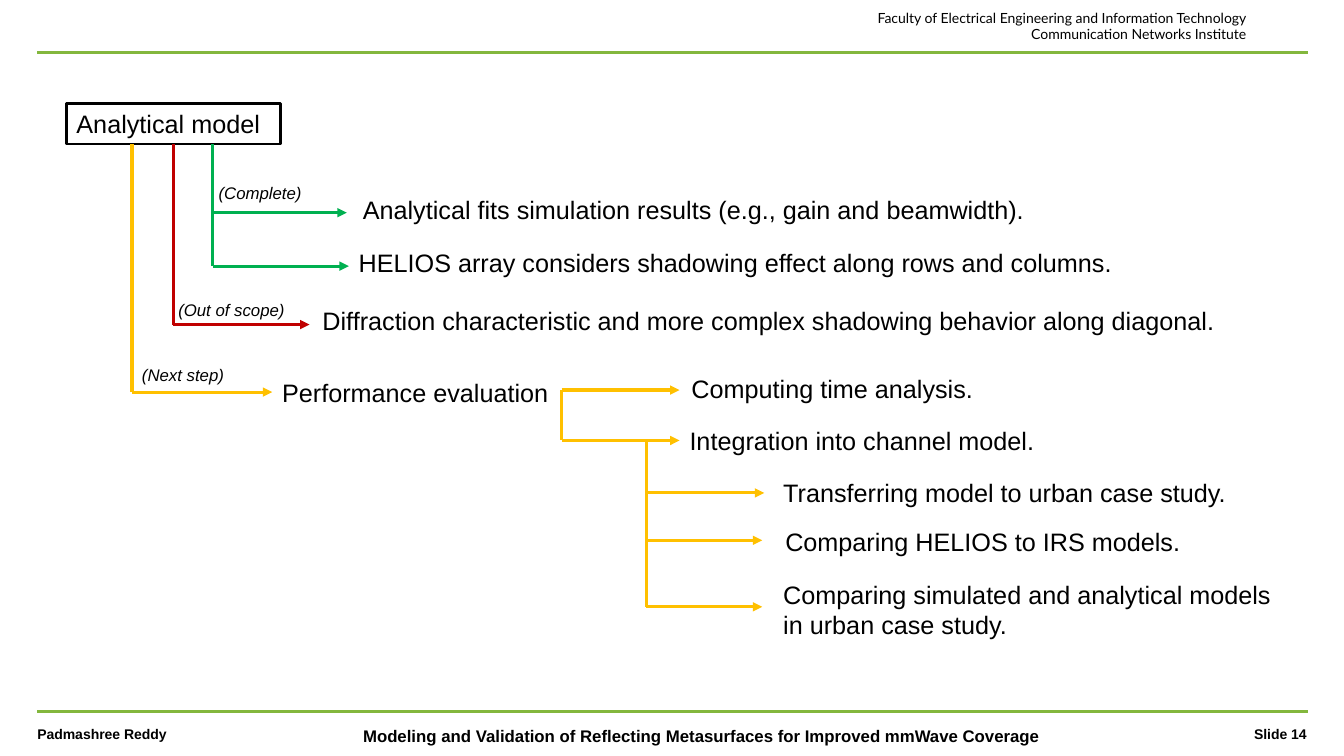
from dataclasses import dataclass
from typing import Optional

from lxml.etree import SubElement
from pptx import Presentation
from pptx.dml.color import RGBColor
from pptx.enum.shapes import MSO_CONNECTOR, MSO_SHAPE
from pptx.enum.text import MSO_ANCHOR, MSO_AUTO_SIZE, PP_ALIGN
from pptx.oxml.ns import qn
from pptx.shapes.autoshape import Shape
from pptx.shapes.connector import Connector
from pptx.slide import Slide
from pptx.util import Inches, Pt


@dataclass(frozen=True)
class Theme:
    black: str = "000000"
    white: str = "FFFFFF"
    rule: str = "83B73D"
    complete: str = "00B050"
    out_of_scope: str = "C00000"
    next_step: str = "FFC000"
    font: str = "Arial"
    header_font: str = "Lato"
    body: float = 18
    status: float = 12
    title: float = 12
    small: float = 10
    rule_width: float = 2
    branch_width: float = 2.25


THEME = Theme()


@dataclass(frozen=True)
class Label:
    text: str
    left: float
    top: float
    width: float
    height: float = 0.4
    size: float = THEME.body
    font: str = THEME.font
    bold: bool = False
    italic: bool = False
    wrap: bool = False
    grow: bool = True
    align: PP_ALIGN = PP_ALIGN.LEFT
    anchor: MSO_ANCHOR = MSO_ANCHOR.TOP
    insets: tuple[float, float, float, float] = (0.1, 0.05, 0.1, 0.05)


@dataclass(frozen=True)
class Arm:
    y: float
    end: float
    target: Optional[str] = None


@dataclass(frozen=True)
class Branch:
    x: float
    top: float
    color: str
    arms: tuple[Arm, ...]
    source: Optional[str] = None


ROOT = Label("Analytical model", 0.66, 1.03, 2.12)
EVALUATION = "Performance evaluation"
INTEGRATION = "Integration into channel model."
ROOT_BOTTOM = ROOT.top + ROOT.height

HEADER_AND_FOOTER = [
    Label("Faculty of Electrical Engineering and Information Technology\n"
          "Communication Networks Institute", 8.5, 0.09, 3.86, 0.34,
          size=THEME.small, font=THEME.header_font, align=PP_ALIGN.RIGHT,
          insets=(0, 0, 0, 0)),
    Label("Padmashree Reddy", 0.37, 7.09, 2.33, 0.39, size=THEME.small,
          bold=True, wrap=True, grow=False, anchor=MSO_ANCHOR.MIDDLE,
          insets=(0, 0.05, 0.1, 0.05)),
    Label("Modeling and Validation of Reflecting Metasurfaces for Improved "
          "mmWave Coverage", 2.98, 7.09, 7.96, 0.41, size=THEME.title,
          bold=True, wrap=True, grow=False, align=PP_ALIGN.CENTER,
          anchor=MSO_ANCHOR.MIDDLE),
    Label("Slide 14", 11.92, 7.15, 1.04, 0.27, size=THEME.small, bold=True,
          wrap=True, align=PP_ALIGN.RIGHT, insets=(0.1, 0.05, 0, 0.05)),
]

TOPICS = [
    Label("Analytical fits simulation results (e.g., gain and beamwidth).",
          3.5, 1.88, 6.82),
    Label("HELIOS array considers shadowing effect along rows and columns.",
          3.46, 2.4, 7.74),
    Label("Diffraction characteristic and more complex shadowing behavior "
          "along diagonal.", 3.1, 2.98, 9.26),
    Label(EVALUATION, 2.7, 3.69, 2.87),
    Label("Computing time analysis.", 6.76, 3.65, 3.02),
    Label(INTEGRATION, 6.74, 4.17, 3.65),
    Label("Transferring model to urban case study.", 7.67, 4.69, 4.63),
    Label("Comparing HELIOS to IRS models.", 7.69, 5.17, 4.87, wrap=True),
    Label("Comparing simulated and analytical models in urban case study.",
          7.67, 5.7, 5.1, 0.71, wrap=True),
]

STATUSES = [
    Label(text, left, top, width, 0.3, size=THEME.status, italic=True, wrap=wrap)
    for text, left, top, width, wrap in (
        ("(Complete)", 2.07, 1.76, 1.03, False),
        ("(Out of scope)", 1.67, 2.92, 1.3, True),
        ("(Next step)", 1.31, 3.57, 1.17, True),
    )
]

BRANCHES = [
    Branch(2.11, ROOT_BOTTOM, THEME.complete, (Arm(2.11, 3.44), Arm(2.64, 3.46))),
    Branch(1.72, ROOT_BOTTOM, THEME.out_of_scope, (Arm(3.22, 3.07),), ROOT.text),
    Branch(1.31, ROOT_BOTTOM, THEME.next_step, (Arm(3.89, 2.7, EVALUATION),)),
    Branch(5.57, 3.87, THEME.next_step,
           (Arm(3.87, 6.74), Arm(4.37, 6.74, INTEGRATION))),
    Branch(6.41, 4.39, THEME.next_step,
           (Arm(4.89, 7.58), Arm(5.36, 7.56), Arm(6.02, 7.56))),
]


def fill_text(shape: Shape, label: Label) -> None:
    frame = shape.text_frame
    left, top, right, bottom = map(Inches, label.insets)
    frame_format = {
        "margin_left": left, "margin_top": top,
        "margin_right": right, "margin_bottom": bottom,
        "word_wrap": label.wrap, "vertical_anchor": label.anchor,
        "auto_size": (MSO_AUTO_SIZE.SHAPE_TO_FIT_TEXT if label.grow
                      else MSO_AUTO_SIZE.NONE),
    }
    for name, value in frame_format.items():
        setattr(frame, name, value)
    frame.text = label.text
    font_format = {"name": label.font, "size": Pt(label.size),
                   "bold": label.bold, "italic": label.italic}
    for paragraph in frame.paragraphs:
        paragraph.alignment = label.align
        for name, value in font_format.items():
            setattr(paragraph.font, name, value)
        paragraph.font.color.rgb = RGBColor.from_string(THEME.black)


def add_label(slide: Slide, label: Label) -> Shape:
    shape = slide.shapes.add_textbox(*map(
        Inches, (label.left, label.top, label.width, label.height)))
    fill_text(shape, label)
    return shape


def add_box(slide: Slide, label: Label) -> Shape:
    shape = slide.shapes.add_shape(MSO_SHAPE.RECTANGLE, *map(
        Inches, (label.left, label.top, label.width, label.height)))
    shape.shadow.inherit = False
    shape.fill.solid()
    shape.fill.fore_color.rgb = RGBColor.from_string(THEME.white)
    shape.line.color.rgb = RGBColor.from_string(THEME.black)
    shape.line.width = Pt(THEME.rule_width)
    fill_text(shape, label)
    return shape


def add_line(slide: Slide, start: tuple[float, float], end: tuple[float, float],
             color: str, width: float, arrow: bool = False) -> Connector:
    line = slide.shapes.add_connector(
        MSO_CONNECTOR.STRAIGHT, *map(Inches, (*start, *end)))
    line.line.color.rgb = RGBColor.from_string(color)
    line.line.width = Pt(width)
    properties = line._element.spPr
    if arrow:
        SubElement(properties.find(qn("a:ln")), qn("a:tailEnd"), type="triangle")
    SubElement(properties, qn("a:effectLst"))
    return line


def add_branch(slide: Slide, branch: Branch, boxes: dict[str, Shape]) -> None:
    y = branch.top
    for arm in branch.arms:
        corner = (branch.x, arm.y)
        if arm.y > y:
            trunk = add_line(slide, (branch.x, y), corner,
                             branch.color, THEME.branch_width)
            if branch.source:
                trunk.begin_connect(boxes[branch.source], 2)
        arrow = add_line(slide, corner, (arm.end, arm.y),
                         branch.color, THEME.branch_width, arrow=True)
        if arm.target:
            arrow.end_connect(boxes[arm.target], 1)
        y = arm.y


def main() -> None:
    presentation = Presentation()
    presentation.slide_width = Inches(13.33)
    presentation.slide_height = Inches(7.5)
    slide = presentation.slides.add_slide(presentation.slide_layouts[6])

    # Header and footer with their rules
    for y in (0.52, 7.06):
        add_line(slide, (0.37, y), (12.97, y), THEME.rule, THEME.rule_width)
    for label in HEADER_AND_FOOTER:
        add_label(slide, label)

    # Root box, topics and statuses
    boxes = {ROOT.text: add_box(slide, ROOT)}
    for label in TOPICS + STATUSES:
        boxes[label.text] = add_label(slide, label)

    # Branches of the tree
    for branch in BRANCHES:
        add_branch(slide, branch, boxes)

    presentation.save("out.pptx")


if __name__ == "__main__":
    main()
